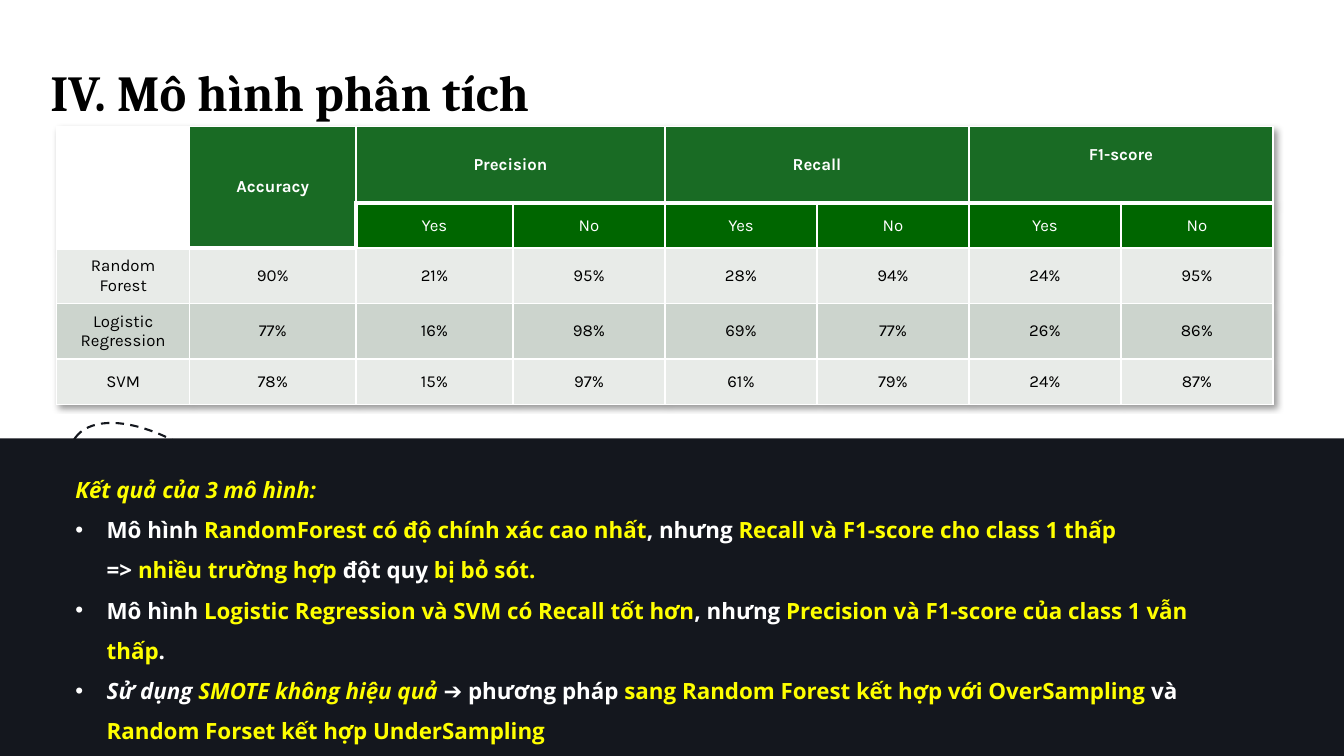
import pptx
import pptx.util
import pptx.dml.color
import pptx.enum.dml
import pptx.enum.shapes
import pptx.enum.text
import pptx.oxml
import pptx.oxml.ns
from lxml import etree

Cm = pptx.util.Cm
Pt = pptx.util.Pt
RGBColor = pptx.dml.color.RGBColor
qn = pptx.oxml.ns.qn

BLACK = RGBColor(0x00, 0x00, 0x00)
WHITE = RGBColor(0xFF, 0xFF, 0xFF)
YELLOW = RGBColor(0xFF, 0xFF, 0x00)
NAVY = RGBColor(0x14, 0x17, 0x1E)
HEADER_GREEN = RGBColor(0x19, 0x6B, 0x24)
CLASS_GREEN = RGBColor(0x00, 0x66, 0x00)
LIGHT_BAND = RGBColor(0xE8, 0xEB, 0xE8)
DARK_BAND = RGBColor(0xCC, 0xD4, 0xCD)

TABLE_SHADOW = (
    '<a:effectLst xmlns:a="http://schemas.openxmlformats.org/drawingml/2006/main">'
    '<a:outerShdw blurRad="50800" dist="38100" dir="2700000" algn="tl" rotWithShape="0">'
    '<a:srgbClr val="000000"><a:alpha val="40000"/></a:srgbClr>'
    '</a:outerShdw></a:effectLst>'
)


def add_text(para, text, font="Open Sans", size=16, color=WHITE, bold=True, italic=False):
    span = para.add_run()
    span.text = text
    span.font.name = font
    span.font.size = Pt(size)
    span.font.bold = bold
    span.font.italic = italic
    span.font.color.rgb = color


def set_border(cell, side, width):
    """Draw a white line on one side (L, R, T or B); call before setting the fill."""
    line = etree.SubElement(cell._tc.get_or_add_tcPr(), qn(f"a:ln{side}"), w=str(Pt(width)))
    fill = etree.SubElement(line, qn("a:solidFill"))
    etree.SubElement(fill, qn("a:srgbClr"), val=str(WHITE))


deck = pptx.Presentation()
deck.slide_width = Cm(33.87)
deck.slide_height = Cm(19.05)
page = deck.slides.add_slide(deck.slide_layouts[6])

# Dark panel and dashed ellipse
panel = page.shapes.add_shape(
    pptx.enum.shapes.MSO_SHAPE.RECTANGLE, Cm(0), Cm(11.05), deck.slide_width, Cm(8))
panel.shadow.inherit = False
panel.fill.solid()
panel.fill.fore_color.rgb = NAVY
panel.line.fill.background()

ellipse = page.shapes.add_shape(
    pptx.enum.shapes.MSO_SHAPE.OVAL, Cm(1.3), Cm(11.33), Cm(6.02), Cm(3))
ellipse.rotation = 37
ellipse.shadow.inherit = False
ellipse.fill.background()
ellipse.line.color.rgb = NAVY
ellipse.line.width = Pt(1.5)
ellipse.line.dash_style = pptx.enum.dml.MSO_LINE.DASH

# Title
title_box = page.shapes.add_textbox(Cm(1.02), Cm(1.42), Cm(13.23), Cm(1.8))
title_box.text_frame.word_wrap = True
title_box.text_frame.auto_size = pptx.enum.text.MSO_AUTO_SIZE.SHAPE_TO_FIT_TEXT
add_text(title_box.text_frame.paragraphs[0], "IV. Mô hình phân tích",
         font="Cambria", size=36, color=BLACK)

# Findings: a heading, then bullets; None stands for a line break
findings = [
    [("Kết quả của 3 mô hình:", YELLOW, True)],
    [("Mô hình ", WHITE, False),
     ("RandomForest có độ chính xác cao nhất", YELLOW, False),
     (", nhưng ", WHITE, False),
     ("Recall và F1-score cho class 1 thấp", YELLOW, False),
     None,
     ("=> ", WHITE, False),
     ("nhiều trường hợp ", YELLOW, False),
     ("đột quỵ ", WHITE, False),
     ("bị bỏ sót.", YELLOW, False)],
    [("Mô hình ", WHITE, False),
     ("Logistic Regression và SVM có Recall tốt hơn", YELLOW, False),
     (", nhưng ", WHITE, False),
     ("Precision và F1-score của class 1 vẫn thấp", YELLOW, False),
     (".", WHITE, False)],
    [("Sử dụng ", WHITE, True),
     ("SMOTE không hiệu quả ", YELLOW, True),
     ("➔ phương pháp ", WHITE, False),
     ("sang Random Forest kết hợp với OverSampling", YELLOW, False),
     (" và ", WHITE, False),
     ("Random Forset kết hợp UnderSampling", YELLOW, False)],
]
findings_box = page.shapes.add_textbox(Cm(1.65), Cm(11.53), Cm(29.18), Cm(7.19))
frame = findings_box.text_frame
frame.word_wrap = True
frame.auto_size = pptx.enum.text.MSO_AUTO_SIZE.SHAPE_TO_FIT_TEXT
for index, spans in enumerate(findings):
    para = frame.add_paragraph() if index else frame.paragraphs[0]
    para.line_spacing = 1.5
    if index:
        properties = para._p.get_or_add_pPr()
        properties.set("marL", str(Cm(0.79)))
        properties.set("indent", str(-Cm(0.79)))
        etree.SubElement(properties, qn("a:buFont"), typeface="Arial")
        etree.SubElement(properties, qn("a:buChar"), char="•")
    for part in spans:
        if part is None:
            para.add_line_break()
        else:
            text, color, italic = part
            add_text(para, text, color=color, italic=italic)

# Score table
scores = [
    ["", "Accuracy", "Precision", "", "Recall", "", "F1-score", ""],
    ["", ""] + ["Yes", "No"] * 3,
    ["Random Forest", "90%", "21%", "95%", "28%", "94%", "24%", "95%"],
    ["Logistic Regression", "77%", "16%", "98%", "69%", "77%", "26%", "86%"],
    ["SVM", "78%", "15%", "97%", "61%", "79%", "24%", "87%"],
]
column_widths = [3.35, 4.19, 3.96] + [3.83] * 5
row_heights = [1.93, 1.14, 1.4, 1.4, 1.14]
row_fills = [HEADER_GREEN, CLASS_GREEN, LIGHT_BAND, DARK_BAND, LIGHT_BAND]

table = page.shapes.add_table(
    len(row_heights), len(column_widths), Cm(1.43), Cm(3.18),
    Cm(sum(column_widths)), Cm(sum(row_heights))).table
table._tbl.tblPr.insert(0, pptx.oxml.parse_xml(TABLE_SHADOW))
for column, width in zip(table.columns, column_widths):
    column.width = Cm(width)
for row, height in zip(table.rows, row_heights):
    row.height = Cm(height)

for r, values in enumerate(scores):
    for c, value in enumerate(values):
        cell = table.cell(r, c)
        in_tall_header = r < 2 and c < 2
        thick_top = (r == 1 and c > 1) or (r == 2 and c < 2)
        set_border(cell, "L", 3 if (r, c) == (1, 2) else 1)
        set_border(cell, "R", 1)
        set_border(cell, "T", 3 if thick_top else 1)
        set_border(cell, "B", 3 if r == 0 or in_tall_header else 1)
        cell.fill.solid()
        cell.fill.fore_color.rgb = WHITE if r < 2 and c == 0 else row_fills[r]
        cell.vertical_anchor = pptx.enum.text.MSO_ANCHOR.MIDDLE
        if value:
            para = cell.text_frame.paragraphs[0]
            para.alignment = pptx.enum.text.PP_ALIGN.CENTER
            add_text(para, value, font="Karla", size=12, bold=r == 0,
                     color=WHITE if r < 2 else BLACK)

for c in (0, 1):
    table.cell(0, c).merge(table.cell(1, c))
for c in (2, 4, 6):
    table.cell(0, c).merge(table.cell(0, c + 1))
table.cell(0, 6).margin_bottom = Cm(0.6)

deck.save("out.pptx")
